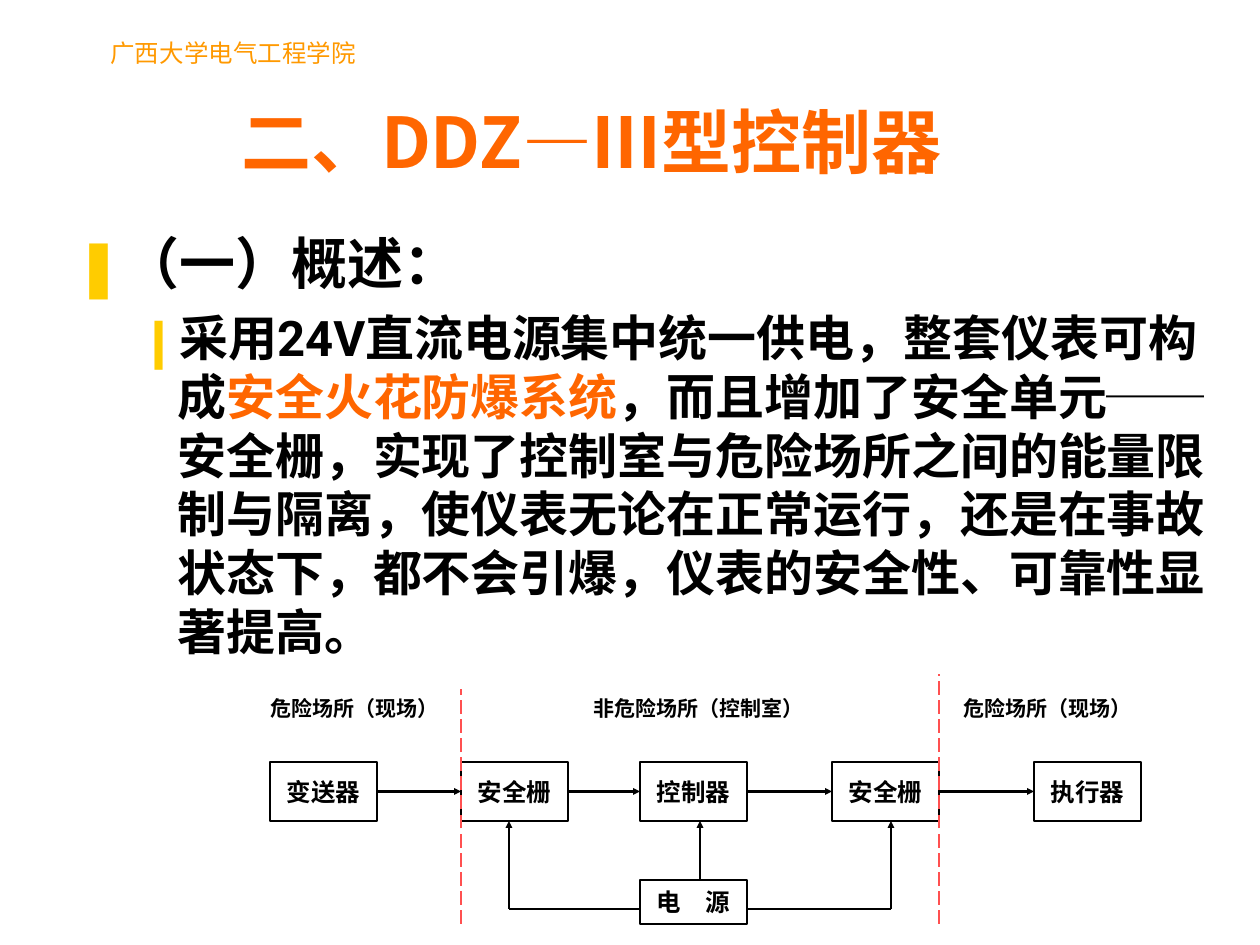
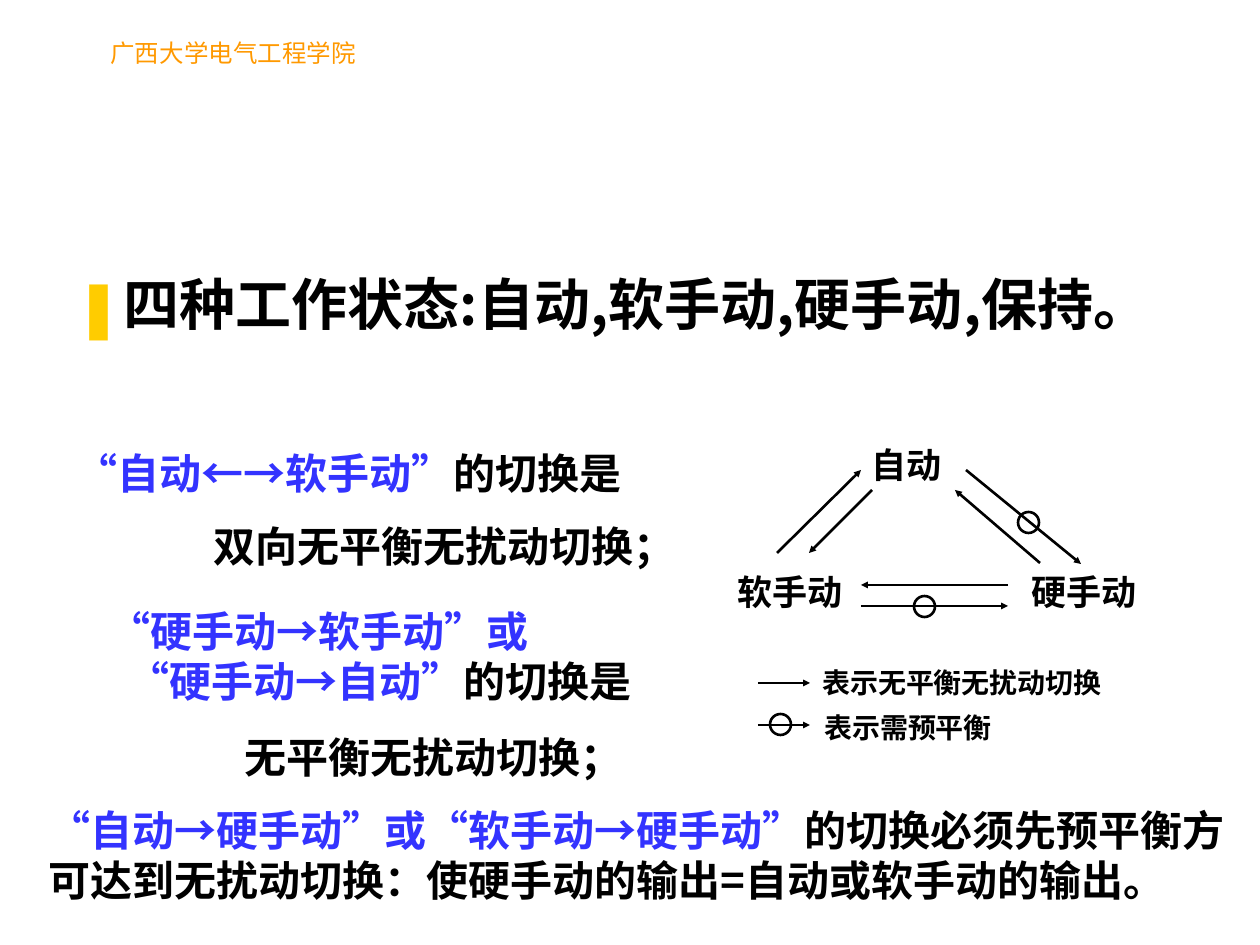
from dataclasses import dataclass
from itertools import groupby, pairwise

from lxml.etree import SubElement
from pptx import Presentation
from pptx.dml.color import RGBColor
from pptx.enum.dml import MSO_LINE
from pptx.enum.shapes import MSO_CONNECTOR, MSO_SHAPE
from pptx.enum.text import MSO_ANCHOR, PP_ALIGN
from pptx.oxml.ns import qn
from pptx.util import Emu, Pt

PX = 914400 / 126
TOP, LEFT, BOTTOM, RIGHT = range(4)


@dataclass(frozen=True)
class TextStyle:
    size: int
    font: str = "Times New Roman"
    color: str = "000000"
    bold: bool = True


@dataclass(frozen=True)
class Theme:
    ink: str = "000000"
    orange: str = "FF6600"
    blue: str = "3333FF"
    bullet: str = "FFCC00"
    boundary: str = "FF5050"
    cjk: str = "Noto Sans CJK SC"
    quotes: str = "Times New Roman"
    line_height: float = 1.2
    school: TextStyle = TextStyle(14, "Arial Narrow", "FF9900", False)
    title: TextStyle = TextStyle(40, "Noto Sans CJK SC", "FF6600")
    heading: TextStyle = TextStyle(32, "Noto Sans CJK SC")
    body: TextStyle = TextStyle(28, "Roboto")
    statement: TextStyle = TextStyle(24, "Noto Sans CJK SC")
    state: TextStyle = TextStyle(20)
    legend: TextStyle = TextStyle(16)
    block: TextStyle = TextStyle(14)
    zone: TextStyle = TextStyle(12)


THEME = Theme()


@dataclass(frozen=True)
class Para:
    """Runs are (text, colour) pairs; a bullet hangs by `hang` px."""
    runs: tuple
    style: TextStyle
    indent: int = 0
    hang: int = 0
    before: int = 0
    bullet: str = ""


def px(length):
    return Emu(round(length * PX))


def place(box, left, top, width=0, height=0):
    """Return an area given relative to the corner of box."""
    return box[0] + left, box[1] + top, width, height


def plain(text, style, **layout):
    return Para(((text, style.color),), style, **layout)


def set_bullet(paragraph, spec):
    properties = paragraph._p.get_or_add_pPr()
    properties.set("marL", str(px(spec.indent)))
    properties.set("indent", str(px(-spec.hang)))
    if spec.bullet:
        color = SubElement(properties, qn("a:buClr"))
        SubElement(color, qn("a:srgbClr"), val=THEME.bullet)
        SubElement(properties, qn("a:buFont"), typeface=THEME.cjk)
        SubElement(properties, qn("a:buChar"), char=spec.bullet)


def write_paragraph(paragraph, spec, align):
    style = spec.style
    set_bullet(paragraph, spec)
    paragraph.alignment = align
    paragraph.line_spacing = Pt(style.size * THEME.line_height)
    if spec.before:
        paragraph.space_before = Pt(spec.before)
    font = paragraph.font
    font.size, font.bold, font.name = Pt(style.size), style.bold, style.font
    font.color.rgb = RGBColor.from_string(style.color)
    for text, color in spec.runs:
        for is_quote, letters in groupby(text, key=lambda letter: letter in "“”"):
            run = paragraph.add_run()
            run.text = "".join(letters)
            if color != style.color:
                run.font.color.rgb = RGBColor.from_string(color)
            if is_quote:
                run.font.name = THEME.quotes
    for latin in list(paragraph._p.iter(qn("a:latin"))):
        SubElement(latin.getparent(), qn("a:ea"), typeface=THEME.cjk)


def write_text(shape, paras, align=PP_ALIGN.LEFT, anchor=MSO_ANCHOR.TOP, wrap=False):
    frame = shape.text_frame
    frame.word_wrap = wrap
    frame.vertical_anchor = anchor
    frame.margin_left = frame.margin_right = Pt(7.2)
    frame.margin_top = frame.margin_bottom = Pt(3.6)
    for index, spec in enumerate(paras):
        paragraph = frame.add_paragraph() if index else frame.paragraphs[0]
        write_paragraph(paragraph, spec, align)


def add_text(slide, area, *paras, **layout):
    write_text(slide.shapes.add_textbox(*map(px, area)), paras, **layout)


def add_outline(slide, preset, area):
    shape = slide.shapes.add_shape(preset, *map(px, area))
    shape.shadow.inherit = False
    shape.fill.background()
    shape.line.color.rgb = RGBColor.from_string(THEME.ink)
    shape.line.width = Pt(1.5)
    return shape


def add_block(slide, area, name):
    block = add_outline(slide, MSO_SHAPE.RECTANGLE, area)
    write_text(block, [plain(name, THEME.block)], PP_ALIGN.CENTER, MSO_ANCHOR.MIDDLE)
    return block


def add_line(slide, box, start, end, color=THEME.ink, width=1.5, arrow=True):
    ends = place(box, *start)[:2] + place(box, *end)[:2]
    line = slide.shapes.add_connector(MSO_CONNECTOR.STRAIGHT, *map(px, ends))
    line.line.color.rgb = RGBColor.from_string(color)
    line.line.width = Pt(width)
    if arrow:
        SubElement(line.line._get_or_add_ln(), qn("a:tailEnd"),
                   type="triangle", w="sm", len="sm")
    SubElement(line._element.spPr, qn("a:effectLst"))
    return line


def add_balance_mark(slide, box, left, top):
    """Circle that marks a switch which needs balancing first."""
    add_outline(slide, MSO_SHAPE.OVAL, place(box, left, top, 21, 21))


def new_slide(deck):
    slide = deck.slides.add_slide(deck.slide_layouts[6])
    add_text(slide, (98, 32, 271, 43), plain("广西大学电气工程学院", THEME.school))
    return slide


def heading(text):
    return plain(text, THEME.heading, indent=48, hang=48, bullet="❚")


def draw_power_supply(slide, box):
    add_block(slide, place(box, 382, 206, 107, 44), "电　源")
    block_bottom, rail = 147, 235
    add_line(slide, box, (442, 206), (442, block_bottom))
    for turn, supply_side in ((251, 382), (633, 489)):
        add_line(slide, box, (turn, rail), (supply_side, rail), arrow=False)
        add_line(slide, box, (turn, rail), (turn, block_bottom))


def draw_safety_loop(slide, box):
    """Signal chain across the hazardous and safe zones."""
    stages = {12: "变送器", 203: "安全栅", 382: "控制器", 574: "安全栅", 776: "执行器"}
    blocks = [add_block(slide, place(box, left, 88, 107, 59), name)
              for left, name in stages.items()]
    for source, target in pairwise(blocks):
        signal = add_line(slide, box, (0, 0), (0, 0))
        signal.begin_connect(source, RIGHT)
        signal.end_connect(target, LEFT)
    draw_power_supply(slide, box)
    for x, top in ((203, 15), (681, 0)):
        boundary = add_line(slide, box, (x, 250), (x, top), THEME.boundary, 1, False)
        boundary.line.dash_style = MSO_LINE.LONG_DASH
    zones = ((0, 200, "危险场所（现场）"), (323, 242, "非危险场所（控制室）"),
             (693, 200, "危险场所（现场）"))
    for left, width, name in zones:
        add_text(slide, place(box, left, 15, width, 38), plain(name, THEME.zone))


def draw_state_triangle(slide, box):
    for left, top, width, name in ((134, 0, 95, "自动"), (0, 127, 130, "软手动"),
                                   (294, 127, 130, "硬手动")):
        add_text(slide, place(box, left, top, width, 55), plain(name, THEME.state))
    switches = (
        ((147, 53), (84, 116)), ((52, 116), (136, 33)),
        ((136, 169), (283, 169)), ((283, 148), (136, 148)),
        ((315, 126), (230, 53)), ((241, 33), (356, 127)),
    )
    for start, end in switches:
        add_line(slide, box, start, end)
    add_balance_mark(slide, box, 189, 159)
    add_balance_mark(slide, box, 293, 75)


def draw_legend(slide, box):
    rows = ((52, 0, 24, "表示无平衡无扰动切换"), (54, 45, 66, "表示需预平衡"))
    for left, top, arrow_y, meaning in rows:
        add_line(slide, box, (0, arrow_y), (52, arrow_y))
        add_text(slide, place(box, left, top, 320, 47), plain(meaning, THEME.legend))
    add_balance_mark(slide, box, 12, 55)


def write_statements(slide, box):
    """Rules for switching between the working states."""
    style, blue, ink = THEME.statement, THEME.blue, THEME.ink
    add_text(slide, place(box, 28, 0, 571, 63),
             Para((("“自动←→软手动”", blue), ("的切换是", ink)), style))
    add_text(slide, place(box, 166, 73, 490, 63), plain("双向无平衡无扰动切换；", style))
    add_text(slide, place(box, 61, 158, 548, 113),
             Para((("“硬手动→软手动”或", blue),), style),
             Para((("“硬手动→自动”", blue), ("的切换是", ink)), style, indent=19))
    add_text(slide, place(box, 197, 284, 410, 63), plain("无平衡无扰动切换；", style))
    conclusion = "的切换必须先预平衡方可达到无扰动切换：使硬手动的输出=自动或软手动的输出。"
    add_text(slide, place(box, 1, 357, 1213, 113),
             Para((("“自动→硬手动”或“软手动→硬手动”", blue), (conclusion, ink)), style),
             wrap=True)


def build_overview(deck):
    slide = new_slide(deck)
    add_text(slide, (56, 32, 1071, 157), plain("二、DDZ―Ⅲ型控制器", THEME.title),
             align=PP_ALIGN.CENTER, anchor=MSO_ANCHOR.BOTTOM, wrap=True)
    summary = (
        ("采用24V直流电源集中统一供电，整套仪表可构成", THEME.ink),
        ("安全火花防爆系统", THEME.orange),
        ("，而且增加了安全单元──安全栅，实现了控制室与危险场所之间的能量限制与隔离，"
         "使仪表无论在正常运行，还是在事故状态下，都不会引爆，"
         "仪表的安全性、可靠性显著提高。", THEME.ink),
    )
    add_text(slide, (63, 222, 1171, 452), heading("（一）概述："),
             Para(summary, THEME.body, indent=102, hang=39, before=7, bullet="❙"),
             wrap=True)
    draw_safety_loop(slide, (258, 674))


def build_working_states(deck):
    slide = new_slide(deck)
    add_text(slide, (63, 263, 1140, 96),
             heading("四种工作状态:自动,软手动,硬手动,保持。"), wrap=True)
    write_statements(slide, (35, 441))
    draw_state_triangle(slide, (725, 437))
    draw_legend(slide, (758, 659))


def main():
    deck = Presentation()
    deck.slide_width, deck.slide_height = px(1260), px(945)
    build_overview(deck)
    build_working_states(deck)
    deck.save("out.pptx")


if __name__ == "__main__":
    main()
